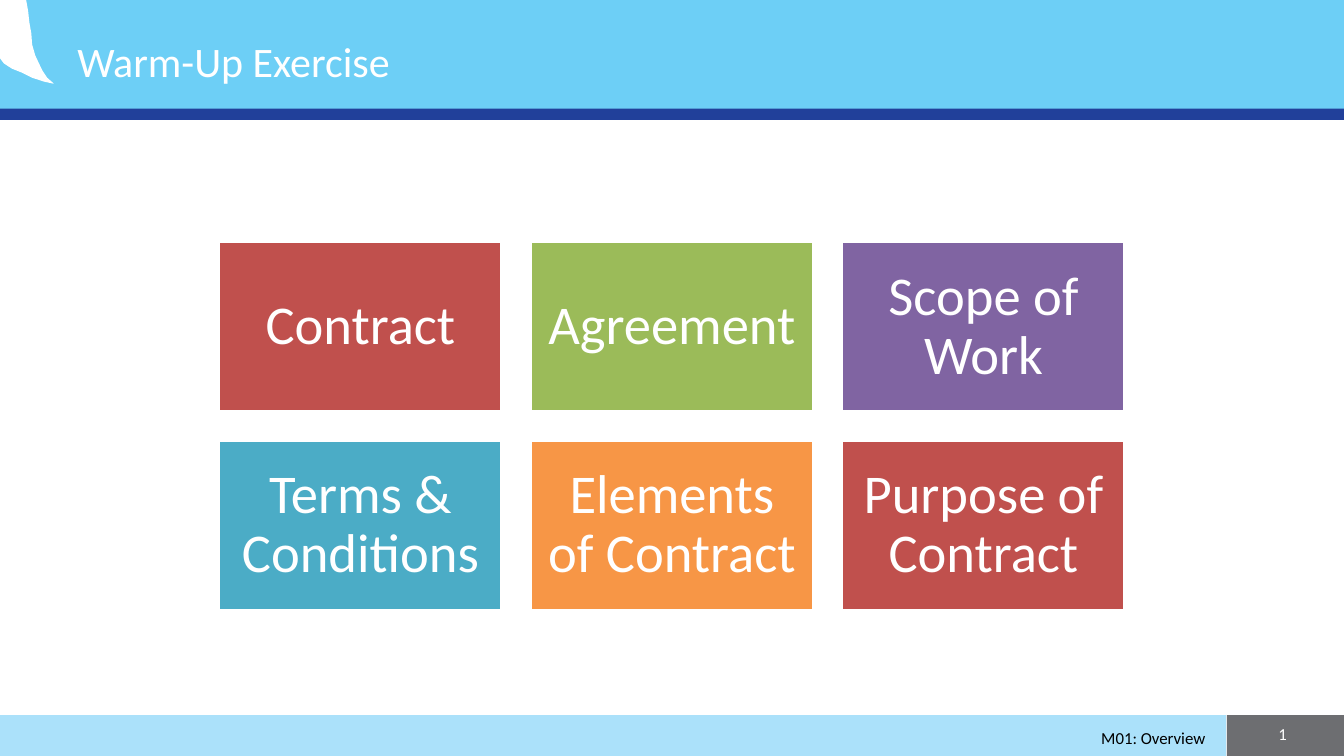
from pptx import Presentation
from pptx.dml.color import RGBColor
from pptx.enum.shapes import MSO_SHAPE
from pptx.enum.text import MSO_ANCHOR, PP_ALIGN
from pptx.util import Cm, Pt

RECTANGLE = MSO_SHAPE.RECTANGLE
MIDDLE = MSO_ANCHOR.MIDDLE
LEFT, CENTER, RIGHT = PP_ALIGN.LEFT, PP_ALIGN.CENTER, PP_ALIGN.RIGHT

FONT = "Calibri"
WHITE = RGBColor(0xFF, 0xFF, 0xFF)
BLACK = RGBColor(0x00, 0x00, 0x00)
SKY = RGBColor(0x6D, 0xCF, 0xF6)
PALE_SKY = RGBColor(0xAB, 0xE1, 0xFA)
NAVY = RGBColor(0x21, 0x40, 0x9A)
GRAY = RGBColor(0x6D, 0x6E, 0x71)
RED = RGBColor(0xC0, 0x50, 0x4D)
GREEN = RGBColor(0x9B, 0xBB, 0x59)
PURPLE = RGBColor(0x80, 0x64, 0xA2)
TEAL = RGBColor(0x4B, 0xAC, 0xC6)
ORANGE = RGBColor(0xF7, 0x96, 0x46)

SLIDE_WIDTH, SLIDE_HEIGHT = 33.87, 19.05
COLUMNS = 3
TILE_WIDTH, TILE_HEIGHT, TILE_GAP = 7.13, 4.28, 0.72
TILES_TOP = 6.1
TILES = [
    ("Contract", RED),
    ("Agreement", GREEN),
    ("Scope of Work", PURPLE),
    ("Terms & Conditions", TEAL),
    ("Elements of Contract", ORANGE),
    ("Purpose of Contract", RED),
]
LEAF = [
    (0, 1.47), (0.1, 1.6), (0.3, 1.73), (0.55, 1.83), (0.81, 1.96),
    (1.12, 2.06), (1.35, 2.11), (1.35, 2.1), (1.19, 1.96), (1.07, 1.78),
    (0.97, 1.57), (0.89, 1.4), (0.81, 1.12), (0.79, 0.84), (0.74, 0.56),
    (0.71, 0.28), (0.66, 0), (0, 0),
]


def paint(shape, fill):
    shape.shadow.inherit = False
    shape.fill.solid()
    shape.fill.fore_color.rgb = fill
    shape.line.fill.background()


def add_block(slide, left, top, width, height, fill):
    shape = slide.shapes.add_shape(RECTANGLE, Cm(left), Cm(top), Cm(width), Cm(height))
    paint(shape, fill)
    return shape


def add_leaf(slide):
    points = [(Cm(x), Cm(y)) for x, y in LEAF]
    builder = slide.shapes.build_freeform(*points[0])
    builder.add_line_segments(points[1:], close=True)
    paint(builder.convert_to_shape(), WHITE)


def write(shape, text, size, color, alignment):
    frame = shape.text_frame
    frame.word_wrap = True
    frame.vertical_anchor = MIDDLE
    paragraph = frame.paragraphs[0]
    paragraph.alignment = alignment
    run = paragraph.add_run()
    run.text = text
    run.font.name = FONT
    run.font.size = Pt(size)
    run.font.color.rgb = color


def add_label(slide, left, top, width, height, text, size, color, alignment):
    box = slide.shapes.add_textbox(Cm(left), Cm(top), Cm(width), Cm(height))
    write(box, text, size, color, alignment)


def add_tile(slide, left, top, text, fill):
    tile = add_block(slide, left, top, TILE_WIDTH, TILE_HEIGHT, fill)
    tile.line.color.rgb = WHITE
    tile.line.width = Pt(2)
    write(tile, text, 39, WHITE, CENTER)
    frame = tile.text_frame
    frame.margin_left = frame.margin_right = Cm(0.4)
    frame.margin_top = frame.margin_bottom = Cm(0.4)
    frame.paragraphs[0].line_spacing = 0.9


def add_tiles(slide):
    grid_width = COLUMNS * TILE_WIDTH + (COLUMNS - 1) * TILE_GAP
    grid_left = (SLIDE_WIDTH - grid_width) / 2
    for index, (text, fill) in enumerate(TILES):
        row, column = divmod(index, COLUMNS)
        left = grid_left + column * (TILE_WIDTH + TILE_GAP)
        top = TILES_TOP + row * (TILE_HEIGHT + TILE_GAP)
        add_tile(slide, left, top, text, fill)


def main():
    presentation = Presentation()
    presentation.slide_width = Cm(SLIDE_WIDTH)
    presentation.slide_height = Cm(SLIDE_HEIGHT)
    slide = presentation.slides.add_slide(presentation.slide_layouts[6])

    add_block(slide, 0, 0, SLIDE_WIDTH, 2.77, SKY)
    add_block(slide, 0, 18.02, 30.9, 1.03, PALE_SKY)
    add_block(slide, 0, 2.74, SLIDE_WIDTH, 0.28, NAVY)
    add_block(slide, 30.92, 18.02, 2.95, 1.03, GRAY)
    add_leaf(slide)
    add_tiles(slide)
    add_label(slide, 1.7, 0.53, 30.48, 1.98, "Warm-Up Exercise", 30, WHITE, LEFT)
    add_label(slide, 18.62, 18.14, 12.01, 0.91, "M01: Overview", 12, BLACK, RIGHT)
    add_label(slide, 31.22, 18.03, 2.21, 0.94, "1", 12, WHITE, CENTER)

    presentation.save("out.pptx")


main()
